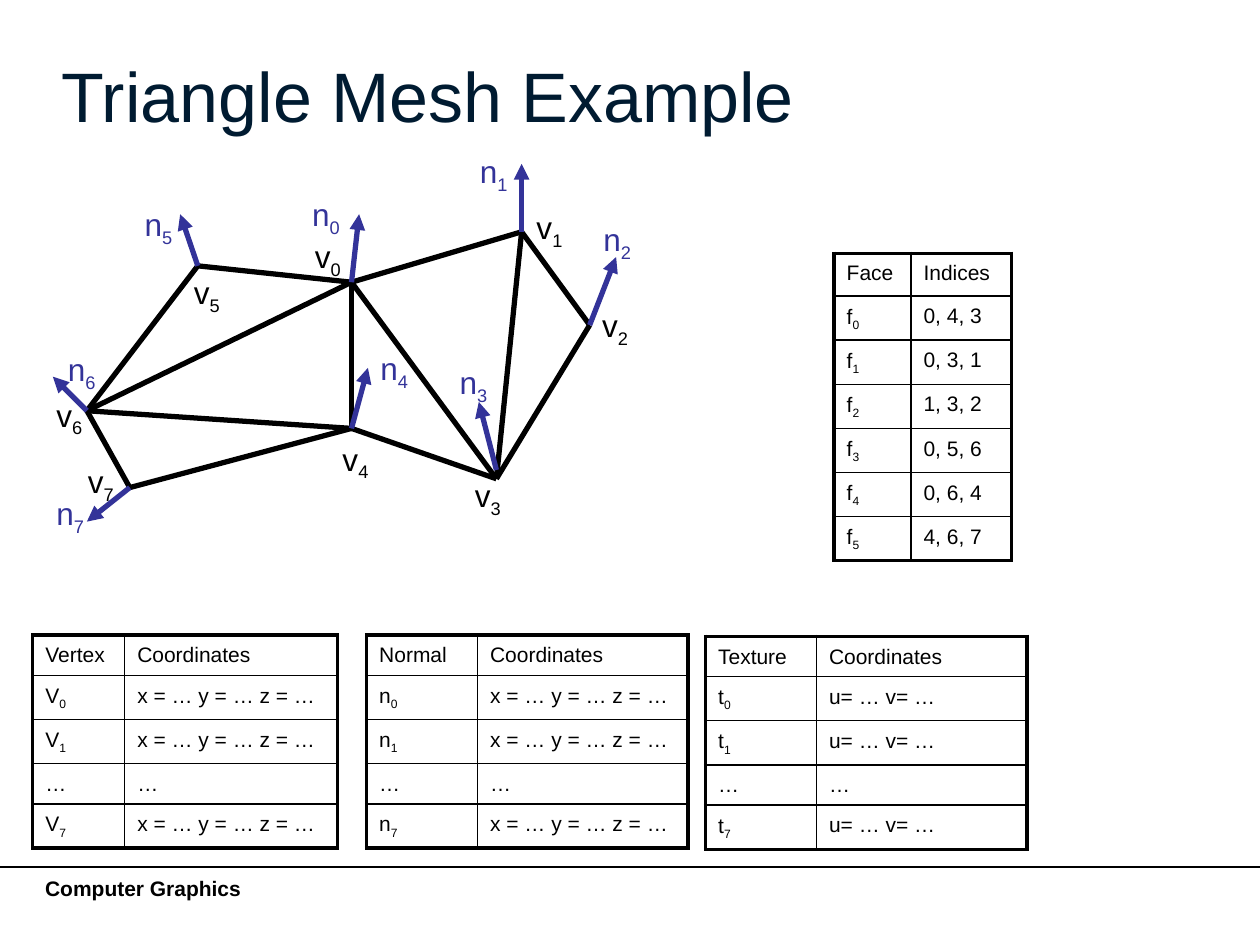
import itertools
import pptx
import pptx.chart.data
import pptx.dml.color
import pptx.enum.shapes
import pptx.enum.text
import pptx.oxml
import pptx.oxml.ns
import pptx.util

Inches = pptx.util.Inches
Pt = pptx.util.Pt
RGBColor = pptx.dml.color.RGBColor

BLACK = RGBColor(0, 0, 0)
BLUE = RGBColor(0x33, 0x33, 0x99)
NAVY = RGBColor(0x00, 0x1B, 0x31)
NS = pptx.oxml.ns.nsdecls("a")


def write(frame, text, size, color):
    """Fill the frame; what follows an underscore becomes a subscript."""
    base, _, sub = text.partition("_")
    para = frame.paragraphs[0]
    para.text = base
    if sub:
        run = para.add_run()
        run.text = sub
        run._r.get_or_add_rPr().set("baseline", "-25000")
    for run in para.runs:
        run.font.name = "Arial"
        run.font.size = Pt(size)
        run.font.color.rgb = color
    return para


def draw(start, end, color, width, arrow=False):
    """Draw a straight line between two points given in inches."""
    line = slide.shapes.add_connector(
        pptx.enum.shapes.MSO_CONNECTOR.STRAIGHT,
        *(Inches(v) for v in (*start, *end)))
    line.line.color.rgb = color
    line.line.width = Pt(width)
    if arrow:
        line.line._get_or_add_ln().append(
            pptx.oxml.parse_xml(f'<a:tailEnd {NS} type="triangle"/>'))
    line._element.spPr.append(pptx.oxml.parse_xml(f"<a:effectLst {NS}/>"))


deck = pptx.Presentation()
deck.slide_width, deck.slide_height = Inches(10), Inches(7.5)
slide = deck.slides.add_slide(deck.slide_layouts[5])

# Footer and title
draw((0, 6.88), (10, 6.88), BLACK, 1)
box = slide.shapes.add_textbox(
    Inches(0.26), Inches(6.9), Inches(8.22), Inches(0.58))
box.text_frame.word_wrap = True
write(box.text_frame, "Computer Graphics", 12, BLACK).runs[0].font.bold = True

title = slide.shapes.title
title.left, title.top = Inches(0.39), Inches(0.25)
title.width, title.height = Inches(9.2), Inches(1)
title.text_frame.vertical_anchor = pptx.enum.text.MSO_ANCHOR.MIDDLE
para = write(title.text_frame, "Triangle Mesh Example", 40, NAVY)
para.alignment = pptx.enum.text.PP_ALIGN.LEFT

# Mesh: the edges follow from the faces
points = [(2.79, 2.24), (4.14, 1.84), (4.68, 2.58), (3.94, 3.8),
          (2.79, 3.4), (1.57, 2.11), (0.69, 3.26), (1.03, 3.87)]
faces = [(0, 4, 3), (0, 3, 1), (1, 3, 2), (0, 5, 6), (0, 6, 4), (4, 6, 7)]
edges = {pair for face in faces
         for pair in itertools.combinations(sorted(face), 2)}
for a, b in sorted(edges):
    draw(points[a], points[b], BLACK, 3)

tips = [(2.85, 1.7), (4.14, 1.3), (4.89, 2.04), (3.8, 3.19),
        (2.92, 2.92), (1.43, 1.7), (0.42, 2.99), (0.69, 4.14)]
for i, (point, tip) in enumerate(zip(points, tips)):
    start = (3.94, 3.73) if i == 3 else point
    draw(start, tip, BLUE, 3, arrow=True)

# Vertex and normal labels
labels = {
    "n": (BLUE, [(2.38, 1.5), (3.71, 1.16), (4.69, 1.7), (3.55, 2.83),
                 (2.92, 2.72), (1.05, 1.58), (0.44, 2.73), (0.35, 3.87)]),
    "v": (BLACK, [(2.4, 1.83), (4.16, 1.6), (4.68, 2.38), (3.67, 3.73),
                  (2.62, 3.44), (1.44, 2.12), (0.35, 3.09), (0.6, 3.62)]),
}
for name, (color, spots) in labels.items():
    for i, (x, y) in enumerate(spots):
        box = slide.shapes.add_textbox(
            Inches(x), Inches(y), Inches(0.47), Inches(0.33))
        box.text_frame.word_wrap = True
        write(box.text_frame, f"{name}_{i}", 18, color)

# Tables: left, top, column widths, row height, rows
lists = [(6.62, 2.01, (0.61, 0.8), 0.34,
          [("Face", "Indices")]
          + [(f"f_{i}", ", ".join(map(str, face)))
             for i, face in enumerate(faces)])]
xyz, uv = "x = … y = … z = …", "u= … v= …"
for x, y, widths, head, name, value in [
        (0.26, 5.04, (0.73, 1.69), "Vertex", "V", xyz),
        (2.91, 5.04, (0.88, 1.67), "Normal", "n", xyz),
        (5.6, 5.05, (0.88, 1.67), "Texture", "t", uv)]:
    rows = [(head, "Coordinates"), (f"{name}_0", value), (f"{name}_1", value),
            ("…", "…"), (f"{name}_7", value)]
    lists.append((x, y, widths, 0.32, rows))

for x, y, widths, height, rows in lists:
    table = slide.shapes.add_table(
        len(rows), 2, Inches(x), Inches(y),
        Inches(sum(widths)), Inches(height * len(rows))).table
    table.first_row = table.horz_banding = False
    for col, width in zip(table.columns, widths):
        col.width = Inches(width)
    for r, row in enumerate(rows):
        table.rows[r].height = Inches(height)
        for c, text in enumerate(row):
            cell = table.cell(r, c)
            write(cell.text_frame, text, 12, BLACK).line_spacing = 1.1
            cell.fill.background()
            outer = {"L": c == 0, "R": c == 1,
                     "T": r == 0, "B": r == len(rows) - 1}
            for i, (side, edge) in enumerate(outer.items()):
                width = Pt(2.25 if edge else 1)
                cell._tc.get_or_add_tcPr().insert(i, pptx.oxml.parse_xml(
                    f'<a:ln{side} {NS} w="{width}"><a:solidFill>'
                    f'<a:srgbClr val="{BLACK}"/></a:solidFill></a:ln{side}>'))

deck.save("out.pptx")
